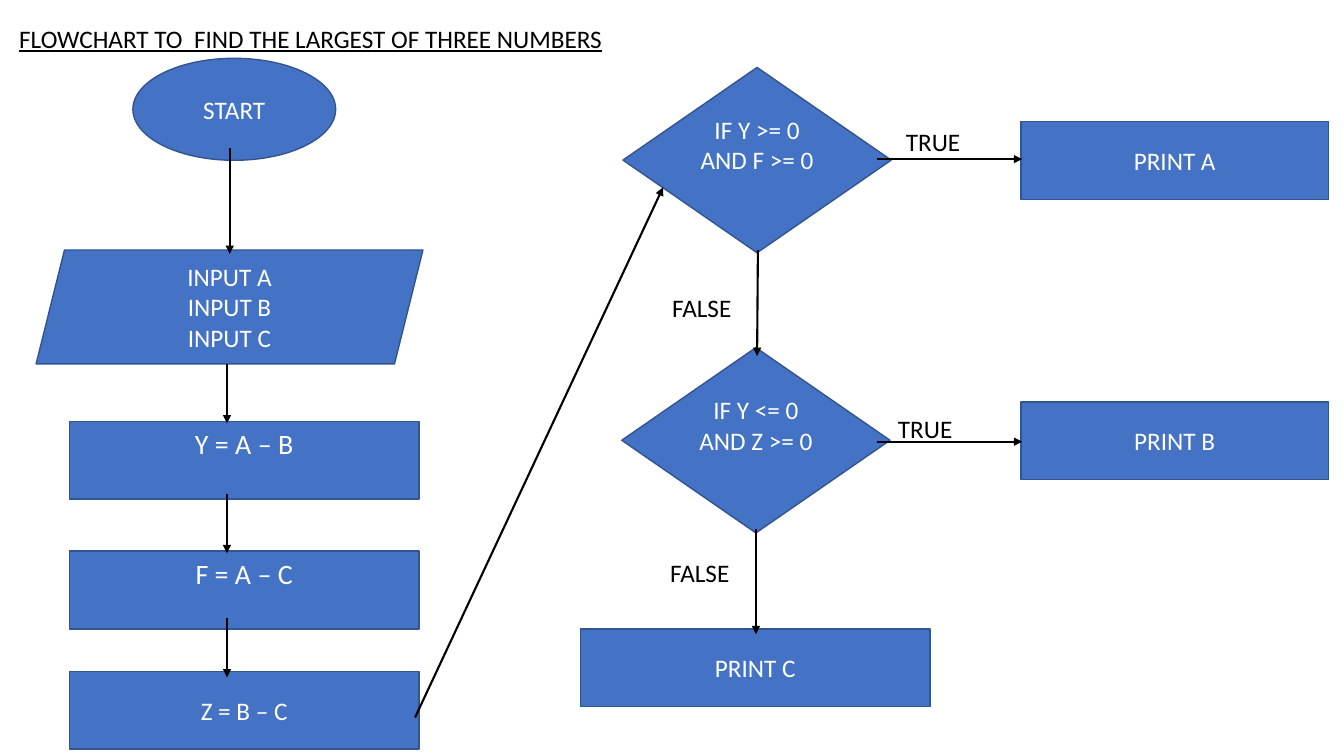
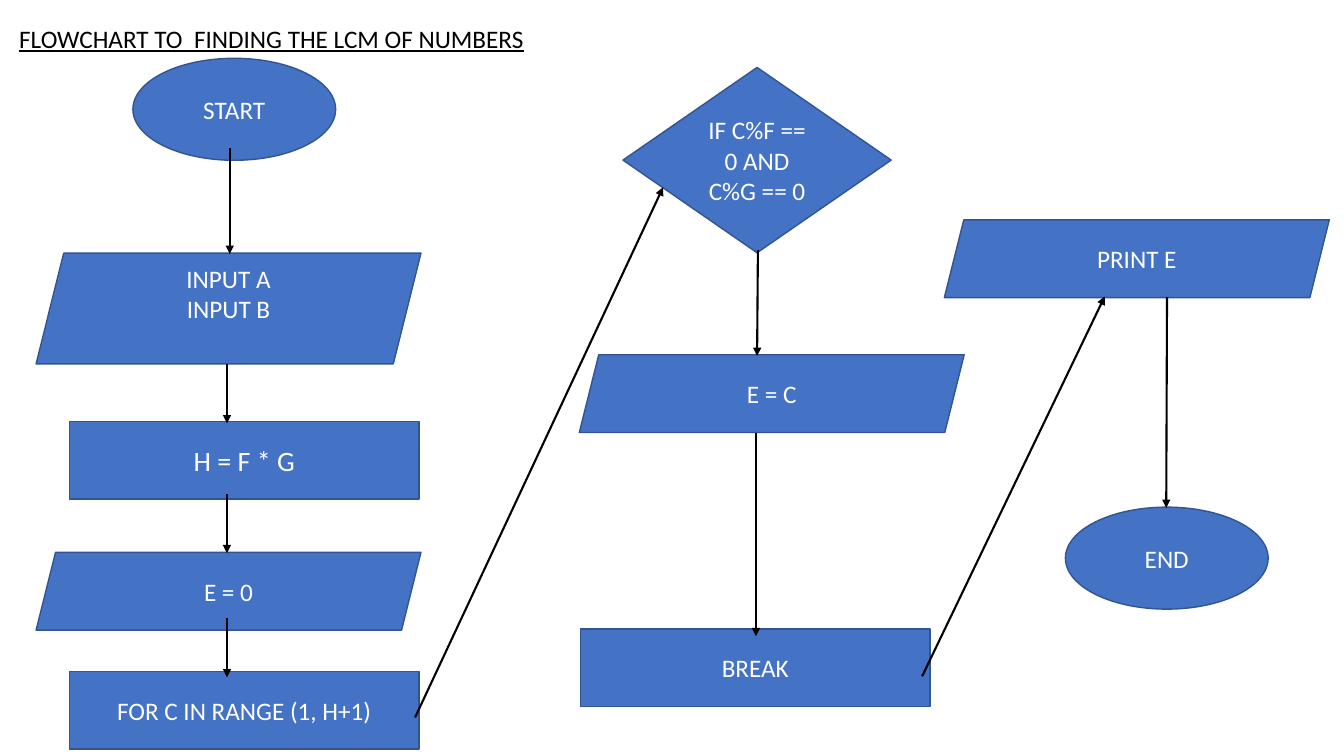
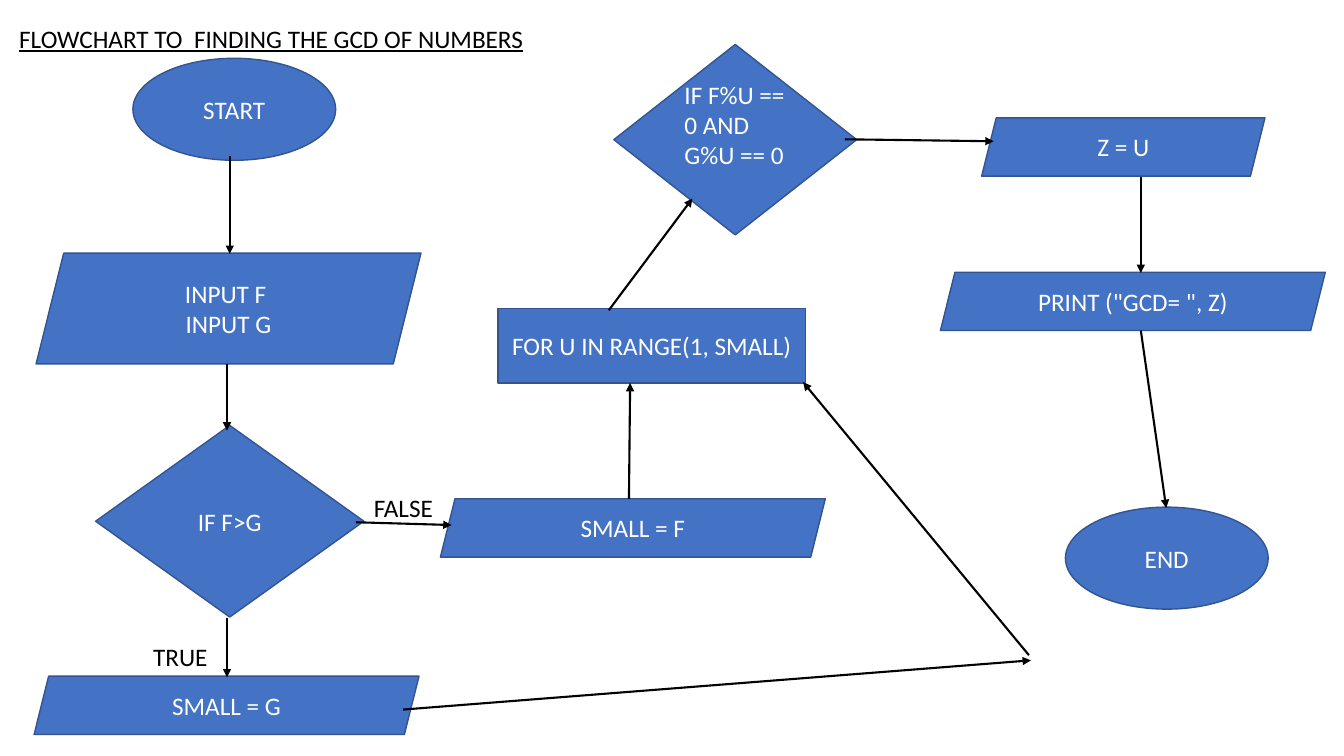
from dataclasses import dataclass
from typing import NamedTuple

from lxml import etree
from pptx import Presentation
from pptx.dml.color import RGBColor
from pptx.enum.shapes import MSO_CONNECTOR, MSO_SHAPE
from pptx.enum.text import MSO_ANCHOR, MSO_AUTO_SIZE, PP_ALIGN
from pptx.oxml.ns import qn
from pptx.util import Cm, Pt

OVAL = MSO_SHAPE.OVAL
SLANTED = MSO_SHAPE.PARALLELOGRAM
RECTANGLE = MSO_SHAPE.RECTANGLE
DIAMOND = MSO_SHAPE.DIAMOND
STRAIGHT = MSO_CONNECTOR.STRAIGHT
TOP, MIDDLE = MSO_ANCHOR.TOP, MSO_ANCHOR.MIDDLE
LEFT, CENTER = PP_ALIGN.LEFT, PP_ALIGN.CENTER
GROW = MSO_AUTO_SIZE.SHAPE_TO_FIT_TEXT
TITLE_ONLY = 5


@dataclass(frozen=True)
class Theme:
    font: str = "Calibri"
    fill: RGBColor = RGBColor(0x44, 0x72, 0xC4)
    outline: RGBColor = RGBColor(0x32, 0x54, 0x91)
    ink: RGBColor = RGBColor(0, 0, 0)
    box_ink: RGBColor = RGBColor(0xFF, 0xFF, 0xFF)
    body: int = 18
    formula: int = 20
    outline_width: float = 1
    arrow_width: float = 1.5
    label_height: float = 1.02
    inset: float = 0.13


THEME = Theme()


class Form(NamedTuple):
    preset: MSO_SHAPE
    width: float
    height: float


TERMINAL = Form(OVAL, 5.11, 2.57)
STEP = Form(RECTANGLE, 8.81, 1.96)
RESULT = Form(RECTANGLE, 7.75, 1.96)
LOOP = Form(RECTANGLE, 7.75, 1.88)
DECISION = Form(DIAMOND, 6.76, 4.67)
TALL_DECISION = Form(DIAMOND, 6.76, 4.83)
NARROW_DECISION = Form(DIAMOND, 6.12, 4.8)
THREE_INPUTS = Form(SLANTED, 9.75, 2.87)
TWO_INPUTS = Form(SLANTED, 9.7, 2.79)
ASSIGNMENT = Form(SLANTED, 9.7, 1.96)
SLIM_ASSIGNMENT = Form(SLANTED, 9.7, 1.47)
SHORT_ASSIGNMENT = Form(SLANTED, 7.14, 1.47)


@dataclass(frozen=True)
class Box:
    form: Form
    left: float
    top: float
    lines: tuple[str, ...]
    size: int = THEME.body
    lift: float = 0
    align: PP_ALIGN = CENTER


class Arrow(NamedTuple):
    x1: float
    y1: float
    x2: float
    y2: float


class Label(NamedTuple):
    text: str
    left: float
    top: float
    width: float


@dataclass(frozen=True)
class Flowchart:
    title: str
    boxes: tuple[Box, ...]
    arrows: tuple[Arrow, ...]
    labels: tuple[Label, ...] = ()


def add_run(paragraph, text: str, size: int, color: RGBColor):
    run = paragraph.add_run()
    run.text = text
    run.font.name = THEME.font
    run.font.size = Pt(size)
    run.font.bold = False
    run.font.color.rgb = color
    return run


def draw_title(slide, text: str) -> None:
    title = slide.shapes.title
    title.left, title.top = Cm(0.23), Cm(0.46)
    title.width, title.height = Cm(15.44), Cm(THEME.label_height)
    frame = title.text_frame
    frame.word_wrap = True
    frame.auto_size = GROW
    frame.vertical_anchor = TOP
    heading = frame.paragraphs[0]
    heading.alignment = LEFT
    add_run(heading, text, THEME.body, THEME.ink).font.underline = True


def draw_box(slide, box: Box) -> None:
    form = box.form
    shape = slide.shapes.add_shape(
        form.preset, Cm(box.left), Cm(box.top), Cm(form.width), Cm(form.height)
    )
    shape.shadow.inherit = False
    shape.fill.solid()
    shape.fill.fore_color.rgb = THEME.fill
    shape.line.color.rgb = THEME.outline
    shape.line.width = Pt(THEME.outline_width)
    frame = shape.text_frame
    frame.word_wrap = True
    frame.vertical_anchor = MIDDLE
    frame.margin_bottom = Cm(THEME.inset + box.lift)
    for index, line in enumerate(box.lines):
        paragraph = frame.add_paragraph() if index else frame.paragraphs[0]
        paragraph.alignment = box.align
        add_run(paragraph, line, box.size, THEME.box_ink)


def draw_arrow(slide, arrow: Arrow) -> None:
    connector = slide.shapes.add_connector(STRAIGHT, *map(Cm, arrow))
    connector.line.color.rgb = THEME.ink
    connector.line.width = Pt(THEME.arrow_width)
    properties = connector.element.spPr
    etree.SubElement(properties.find(qn("a:ln")), qn("a:tailEnd"), type="triangle")
    etree.SubElement(properties, qn("a:effectLst"))


def draw_label(slide, label: Label) -> None:
    caption = slide.shapes.add_textbox(
        Cm(label.left), Cm(label.top), Cm(label.width), Cm(THEME.label_height)
    )
    frame = caption.text_frame
    frame.word_wrap = True
    frame.auto_size = GROW
    add_run(frame.paragraphs[0], label.text, THEME.body, THEME.ink)


def draw_flowchart(deck, chart: Flowchart) -> None:
    slide = deck.slides.add_slide(deck.slide_layouts[TITLE_ONLY])
    draw_title(slide, chart.title)
    for box in chart.boxes:
        draw_box(slide, box)
    for arrow in chart.arrows:
        draw_arrow(slide, arrow)
    for label in chart.labels:
        draw_label(slide, label)


BODY_LIFT = 0.77
FORMULA_LIFT = 0.86
STEP_LEFT = 1.75
INPUT_LEFT = 0.91
FLOW_X = 5.72

START = Box(TERMINAL, 3.35, 1.47, ("START",))
END = Box(TERMINAL, 26.85, 12.78, ("END",))

FROM_START = Arrow(5.79, 3.73, 5.79, 6.4)
TO_LAST_STEP = Arrow(FLOW_X, 15.57, FLOW_X, 17.07)
FIRST_COLUMN = (
    FROM_START,
    Arrow(FLOW_X, 9.17, FLOW_X, 10.67),
    Arrow(FLOW_X, 12.45, FLOW_X, 13.94),
    TO_LAST_STEP,
)
TO_DECISION = Arrow(10.46, 18.08, 16.71, 4.72)
FROM_DECISION = Arrow(19.1, 6.3, 19.08, 8.97)

LARGEST = Flowchart(
    "FLOWCHART\u00a0TO\u00a0 FIND THE LARGEST OF THREE NUMBERS",
    boxes=(
        START,
        Box(THREE_INPUTS, INPUT_LEFT, 6.3, ("INPUT A", "INPUT B", "INPUT C")),
        Box(STEP, STEP_LEFT, 10.62, ("Y = A – B",), THEME.formula, FORMULA_LIFT),
        Box(STEP, STEP_LEFT, 13.89, ("F = A – C",), THEME.formula, FORMULA_LIFT),
        Box(STEP, STEP_LEFT, 16.92, ("Z = B – C",)),
        Box(DECISION, 15.7, 1.7, ("IF Y >= 0 AND F >= 0",), lift=BODY_LIFT),
        Box(DECISION, 15.67, 8.76, ("IF Y <= 0 AND Z >= 0",), lift=BODY_LIFT),
        Box(RESULT, 25.73, 3.07, ("PRINT A",)),
        Box(RESULT, 25.73, 10.13, ("PRINT B",)),
        Box(STEP, 14.63, 15.85, ("PRINT C",)),
    ),
    arrows=(
        *FIRST_COLUMN,
        TO_DECISION,
        FROM_DECISION,
        Arrow(19.05, 13.34, 19.05, 15.98),
        Arrow(22.1, 4.01, 25.76, 4.01),
        Arrow(22.1, 11.13, 25.76, 11.13),
    ),
    labels=(
        Label("TRUE", 22.58, 3.05, 2.16),
        Label("FALSE", 16.69, 7.24, 2.44),
        Label("TRUE", 22.38, 10.29, 2.16),
        Label("FALSE", 16.64, 13.92, 2.44),
    ),
)

LCM = Flowchart(
    "FLOWCHART\u00a0TO\u00a0 FINDING THE LCM OF NUMBERS",
    boxes=(
        START,
        Box(TWO_INPUTS, INPUT_LEFT, 6.38, ("INPUT A", "INPUT B"), lift=BODY_LIFT),
        Box(STEP, STEP_LEFT, 10.62, ("H = F * G",), THEME.formula),
        Box(ASSIGNMENT, INPUT_LEFT, 13.92, ("E = 0",)),
        Box(STEP, STEP_LEFT, 16.92, ("FOR C IN RANGE (1, H+1)",)),
        Box(DECISION, 15.7, 1.7, ("IF C%F == 0 AND C%G == 0",)),
        Box(ASSIGNMENT, 14.6, 8.94, ("E = C",)),
        Box(STEP, 14.63, 15.85, ("BREAK",)),
        Box(ASSIGNMENT, 23.8, 5.54, ("PRINT E",)),
        END,
    ),
    arrows=(
        *FIRST_COLUMN,
        TO_DECISION,
        FROM_DECISION,
        Arrow(19.05, 10.9, 19.05, 16.03),
        Arrow(23.24, 17.04, 27.84, 7.47),
        Arrow(29.41, 7.49, 29.39, 12.8),
    ),
)

GCD = Flowchart(
    "FLOWCHART\u00a0TO\u00a0 FINDING THE GCD OF NUMBERS",
    boxes=(
        START,
        Box(TWO_INPUTS, INPUT_LEFT, 6.38, ("INPUT F\u00a0", "INPUT G")),
        Box(TALL_DECISION, 2.41, 10.72, ("IF F>G",)),
        Box(SLIM_ASSIGNMENT, 0.86, 17.04, ("SMALL = G",)),
        Box(SLIM_ASSIGNMENT, 11.1, 12.57, ("SMALL = F",)),
        Box(LOOP, 12.55, 7.77, ("FOR U IN RANGE(1, SMALL)",)),
        Box(
            NARROW_DECISION, 15.47, 1.12, ("IF F%U == 0 AND G%U == 0",),
            lift=BODY_LIFT, align=LEFT,
        ),
        Box(SHORT_ASSIGNMENT, 24.74, 2.97, ("Z = U",)),
        Box(SLIM_ASSIGNMENT, 23.7, 6.86, ('PRINT ("GCD= ", Z)',)),
        END,
    ),
    arrows=(
        FROM_START._replace(y1=3.94),
        Arrow(FLOW_X, 9.17, FLOW_X, 10.85),
        TO_LAST_STEP,
        Arrow(8.97, 13.16, 11.38, 13.23),
        Arrow(15.85, 12.57, 15.88, 9.65),
        Arrow(15.34, 7.82, 17.45, 5),
        Arrow(21.29, 3.51, 25.04, 3.56),
        Arrow(28.75, 4.47, 28.75, 6.88),
        Arrow(28.75, 8.33, 29.39, 12.8),
        Arrow(10.16, 17.88, 25.98, 16.64),
        Arrow(25.93, 16.51, 20.24, 9.63),
    ),
    labels=(
        Label("FALSE", 9.17, 12.29, 2.18),
        Label("TRUE", 3.61, 16.03, 2.18),
    ),
)

deck = Presentation()
deck.slide_width, deck.slide_height = Cm(33.87), Cm(19.05)
for flowchart in (LARGEST, LCM, GCD):
    draw_flowchart(deck, flowchart)
deck.save("out.pptx")
